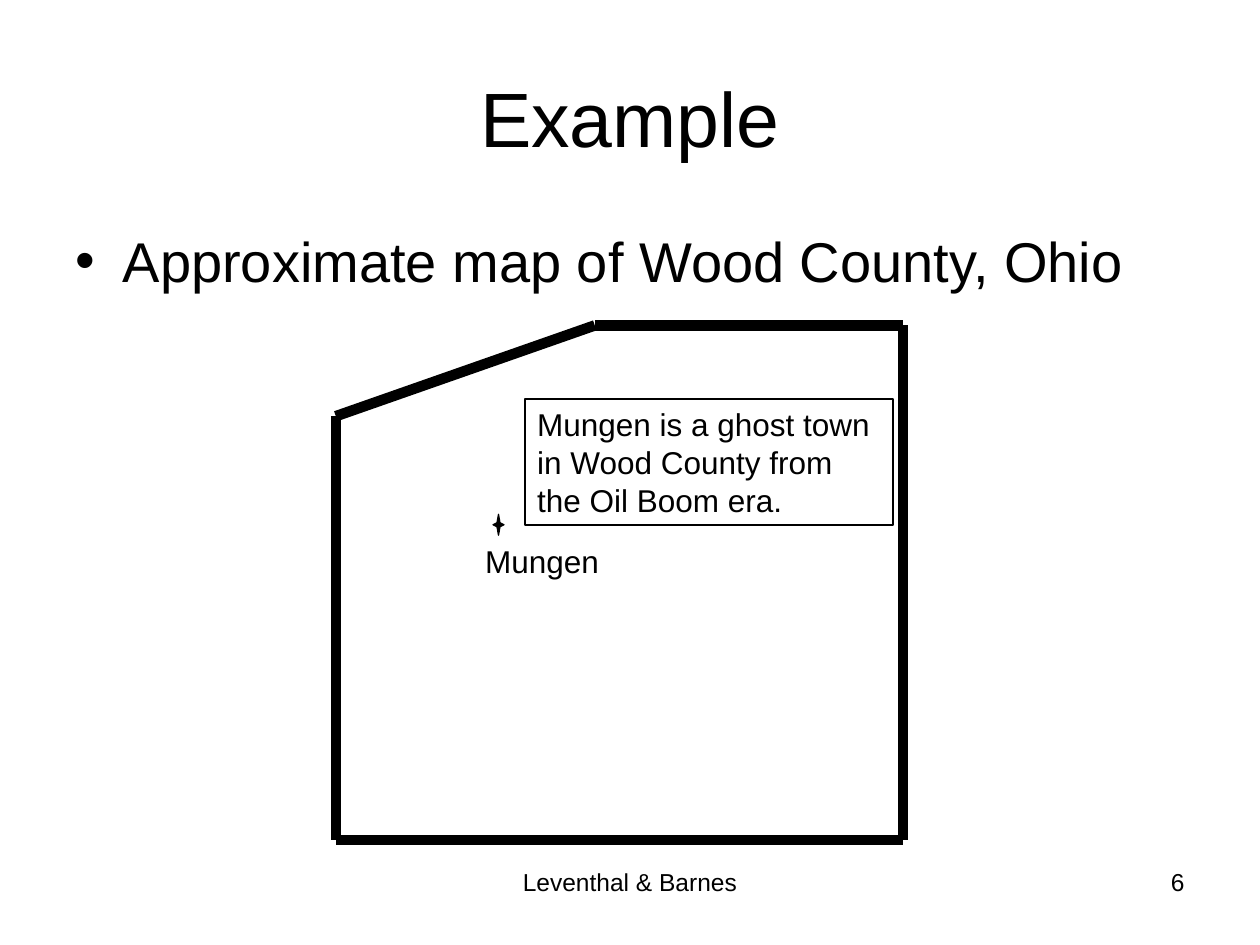
from itertools import pairwise

from lxml import etree
from pptx import Presentation
from pptx.dml.color import RGBColor
from pptx.enum.shapes import MSO_CONNECTOR, MSO_SHAPE
from pptx.enum.text import MSO_ANCHOR, MSO_AUTO_SIZE, PP_ALIGN
from pptx.oxml.ns import qn
from pptx.util import Cm, Pt

LEFT, CENTER, RIGHT = PP_ALIGN.LEFT, PP_ALIGN.CENTER, PP_ALIGN.RIGHT
TOP, MIDDLE = MSO_ANCHOR.TOP, MSO_ANCHOR.MIDDLE
FIT_SHAPE, FIT_NONE = MSO_AUTO_SIZE.SHAPE_TO_FIT_TEXT, MSO_AUTO_SIZE.NONE
STRAIGHT, RECTANGLE = MSO_CONNECTOR.STRAIGHT, MSO_SHAPE.RECTANGLE
COLORS = {"ink": "000000", "paper": "FFFFFF"}
FONT = "Arial"
COUNTY = [(6.77, 8.39), (11.99, 6.56), (18.2, 6.56), (18.2, 16.93),
          (6.77, 16.93), (6.77, 8.39)]
STAR_CENTER = (10.05, 10.58)
STAR = [(-0.11, 0), (-0.03, -0.04), (0, -0.21), (0.03, -0.04),
        (0.11, 0), (0.03, 0.04), (0, 0.21), (-0.03, 0.04)]


def color(name):
    """Return the named colour."""
    return RGBColor.from_string(COLORS[name])


def place(sp, left, top, width, height):
    """Move and size a shape, in centimetres."""
    sp.left, sp.top, sp.width, sp.height = map(Cm, (left, top, width, height))


def write(sp, text, size, align=LEFT, anchor=TOP, fit=FIT_NONE, before=0):
    """Write one formatted paragraph into a shape."""
    tf = sp.text_frame
    tf.word_wrap, tf.auto_size, tf.vertical_anchor = True, fit, anchor
    p = tf.paragraphs[0]
    p.alignment, p.space_before = align, Pt(before)
    r = p.add_run()
    r.text = text
    r.font.size, r.font.name = Pt(size), FONT
    r.font.color.rgb = color("ink")
    return p


def set_line(sp, width):
    """Give a shape or connector a solid dark line."""
    sp.line.color.rgb = color("ink")
    sp.line.width = Pt(width)


def add_label(s, box, text, size, align=LEFT):
    """Add a text box."""
    sp = s.shapes.add_textbox(*map(Cm, box))
    write(sp, text, size, align)


def add_bullet(p, indent):
    """Give a paragraph a round bullet with a hanging indent."""
    ppr = p._p.get_or_add_pPr()
    ppr.set("marL", str(Cm(indent)))
    ppr.set("indent", str(-Cm(indent)))
    etree.SubElement(ppr, qn("a:buFont")).set("typeface", FONT)
    etree.SubElement(ppr, qn("a:buChar")).set("char", "•")


def add_border(s, points, width):
    """Join successive points with grouped lines."""
    group = s.shapes.add_group_shape()
    for start, end in pairwise(points):
        line = group.shapes.add_connector(STRAIGHT, *map(Cm, start + end))
        set_line(line, width)
        etree.SubElement(line._element.spPr, qn("a:effectLst"))


def add_star(s, center, offsets):
    """Draw the town marker around its centre."""
    points = [(Cm(center[0] + x), Cm(center[1] + y)) for x, y in offsets]
    builder = s.shapes.build_freeform(*points[0])
    builder.add_line_segments(points[1:], close=True)
    sp = builder.convert_to_shape()
    sp.shadow.inherit = False
    sp.fill.solid()
    sp.fill.fore_color.rgb = color("ink")
    set_line(sp, 0.75)


def add_note(s, box, text):
    """Add an outlined note."""
    sp = s.shapes.add_shape(RECTANGLE, *map(Cm, box))
    sp.shadow.inherit = False
    sp.fill.background()
    set_line(sp, 1)
    write(sp, text, 18, fit=FIT_SHAPE, before=11.2)


def main():
    """Build the county map slide."""
    prs = Presentation()
    prs.slide_width, prs.slide_height = Cm(25.4), Cm(19.05)
    s = prs.slides.add_slide(prs.slide_layouts[1])
    s.background.fill.solid()
    s.background.fill.fore_color.rgb = color("paper")
    title, body = s.placeholders
    place(title, 1.27, 0.76, 22.86, 3.18)
    write(title, "Example", 44, align=CENTER, anchor=MIDDLE)
    place(body, 1.27, 4.43, 22.86, 12.57)
    p = write(body, "Approximate map of Wood County, Ohio", 32, before=8)
    add_bullet(p, 0.95)

    add_border(s, COUNTY, 6)
    add_label(s, (9.53, 10.8, 3, 1.02), "Mungen", 18)
    add_star(s, STAR_CENTER, STAR)
    add_note(s, (10.58, 8.04, 7.42, 2.54),
             "Mungen is a ghost town in Wood County from the Oil Boom era.")
    add_label(s, (8.68, 17.35, 8.04, 1.32), "Leventhal & Barnes", 14, CENTER)
    add_label(s, (18.21, 17.35, 5.92, 1.32), "6", 14, RIGHT)
    prs.save("out.pptx")


main()
